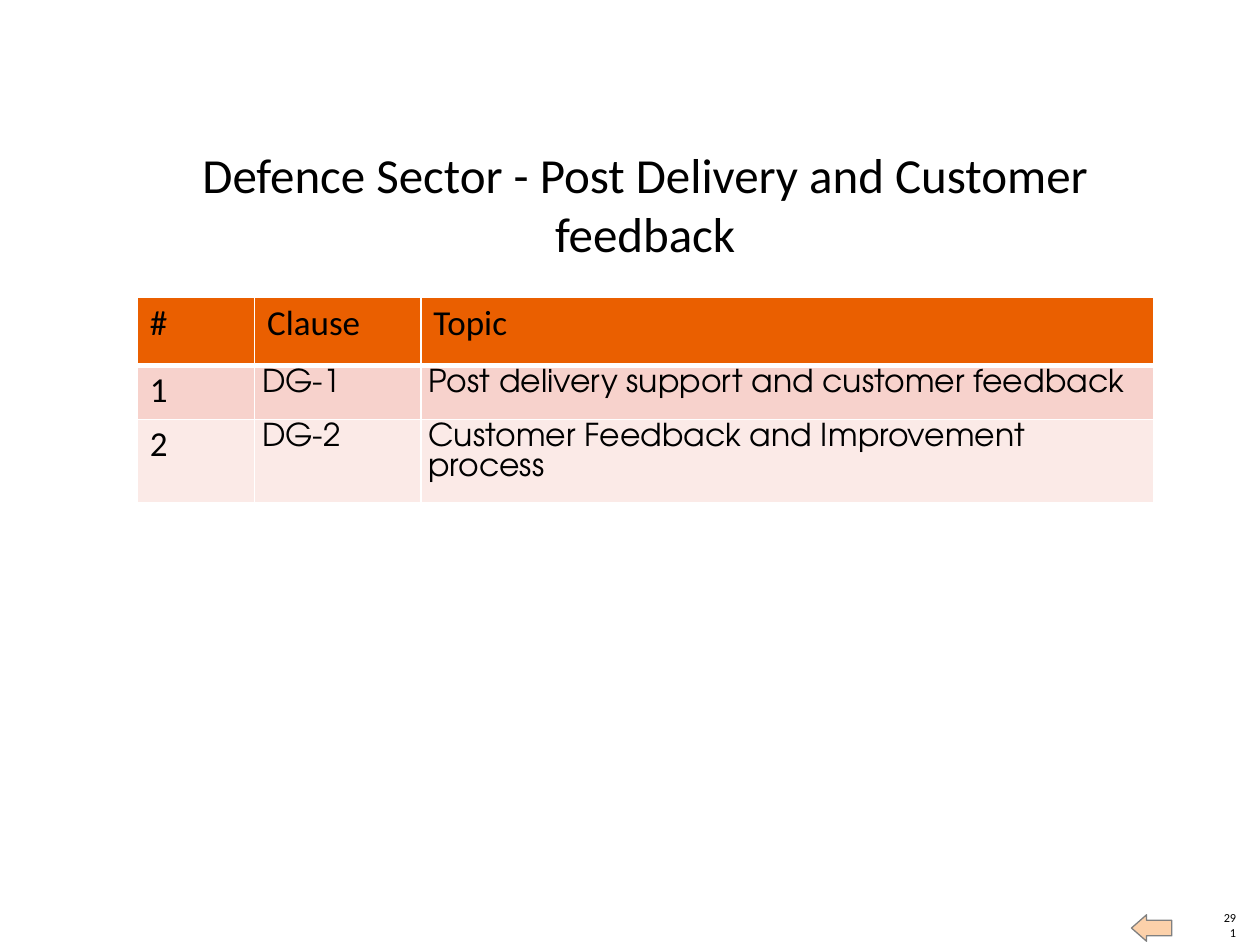
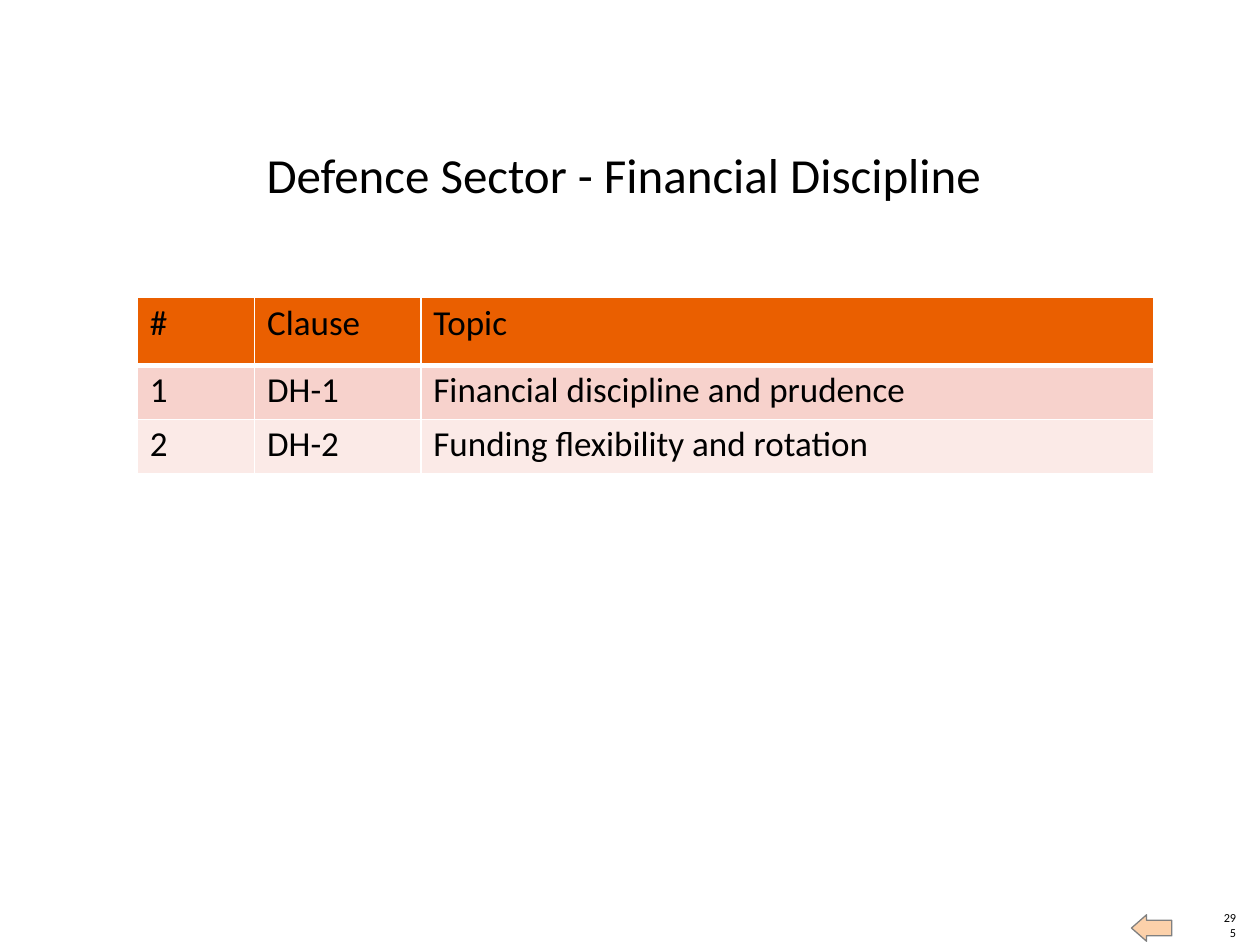
from dataclasses import dataclass

from lxml.etree import SubElement
from pptx import Presentation
from pptx.dml.color import RGBColor
from pptx.enum.shapes import MSO_SHAPE
from pptx.enum.text import MSO_ANCHOR, MSO_AUTO_SIZE, PP_ALIGN
from pptx.oxml.ns import qn
from pptx.util import Emu, Pt

EMU_PER_PX = 9144


@dataclass(frozen=True)
class Theme:
    text: str = "000000"
    header: str = "EA5F00"
    bands: tuple = ("F7D2CC", "FBEAE7")
    border: str = "FFFFFF"
    arrow: str = "FCD1AA"
    arrow_line: str = "808080"
    font: str = "Calibri"
    clause_font: str = "TeX Gyre Adventor"
    title_size: int = 28
    table_size: int = 20
    clause_size: int = 18
    number_size: int = 7
    thin: int = 1
    thick: int = 3


def px(length):
    return Emu(length * EMU_PER_PX)


def write(frame, text, *, font, size, color, align=PP_ALIGN.LEFT):
    para = frame.paragraphs[0]
    para.alignment = align
    span = para.add_run()
    span.text = text
    span.font.name = font
    span.font.size = Pt(size)
    span.font.bold = False
    span.font.color.rgb = RGBColor.from_string(color)


def set_margins(target, left=0, top=0, right=0, bottom=0):
    target.margin_left, target.margin_top = px(left), px(top)
    target.margin_right, target.margin_bottom = px(right), px(bottom)


class SlideBuilder:
    def __init__(self, deck, theme):
        self.deck = deck
        self.theme = theme
        self.page = None

    def start(self, number):
        self.page = self.deck.slides.add_slide(self.deck.slide_layouts[5])
        self.page_number(number)
        self.back_arrow()

    def page_number(self, number):
        box = self.page.shapes.add_textbox(px(969), px(734), px(12), px(12))
        frame = box.text_frame
        frame.word_wrap = True
        frame.vertical_anchor = MSO_ANCHOR.BOTTOM
        set_margins(frame)
        write(frame, number, font=self.theme.font, size=self.theme.number_size,
              color=self.theme.text, align=PP_ALIGN.RIGHT)

    def back_arrow(self):
        arrow = self.page.shapes.add_shape(
            MSO_SHAPE.RIGHT_ARROW, px(898), px(726), px(32), px(21))
        arrow.rotation = 180
        arrow.adjustments[0], arrow.adjustments[1] = 0.59, 0.57
        arrow.shadow.inherit = False
        arrow.fill.solid()
        arrow.fill.fore_color.rgb = RGBColor.from_string(self.theme.arrow)
        arrow.line.color.rgb = RGBColor.from_string(self.theme.arrow_line)
        arrow.line.width = Pt(0.75)

    def title(self, text, width, height):
        box = self.page.shapes.title
        box.left, box.top, box.width, box.height = px(109), px(115), px(width), px(height)
        frame = box.text_frame
        frame.word_wrap = True
        frame.auto_size = MSO_AUTO_SIZE.NONE
        frame.vertical_anchor = MSO_ANCHOR.TOP
        set_margins(frame)
        write(frame, text, font=self.theme.font, size=self.theme.title_size,
              color=self.theme.text, align=PP_ALIGN.CENTER)

    def borders(self, cell, top, bottom):
        properties = cell._tc.get_or_add_tcPr()
        widths = {"lnL": self.theme.thin, "lnR": self.theme.thin, "lnT": top, "lnB": bottom}
        for side, width in widths.items():
            line = SubElement(properties, qn(f"a:{side}"), w=str(Pt(width)))
            fill = SubElement(line, qn("a:solidFill"))
            SubElement(fill, qn("a:srgbClr"), val=self.theme.border)

    def cell(self, cell, text, fill, margins, *, top, bottom, font, size):
        self.borders(cell, top, bottom)
        cell.fill.solid()
        cell.fill.fore_color.rgb = RGBColor.from_string(fill)
        set_margins(cell, *margins)
        write(cell.text_frame, text, font=font, size=size, color=self.theme.text)

    def clause_table(self, clauses, clause_font, clause_size, clause_inset):
        theme = self.theme
        columns, heights = (93, 132, 582), (54, 43, 43)
        table = self.page.shapes.add_table(
            len(heights), len(columns), px(109), px(236),
            px(sum(columns)), px(sum(heights))).table
        table.first_row = table.horz_banding = False
        for column, width in zip(table.columns, columns):
            column.width = px(width)
        for row, height in zip(table.rows, heights):
            row.height = px(height)

        for index, text in enumerate(("#", "Clause", "Topic")):
            self.cell(table.cell(0, index), text, theme.header, (10, 4, 7, 4),
                      top=theme.thin, bottom=theme.thick,
                      font=theme.font, size=theme.table_size)
        for number, clause in enumerate(clauses, start=1):
            for index, text in enumerate((str(number), *clause)):
                inset = clause_inset if index else 10
                self.cell(table.cell(number, index), text, theme.bands[(number - 1) % 2],
                          (inset, 3, 6, 3),
                          top=theme.thick if number == 1 else theme.thin, bottom=theme.thin,
                          font=clause_font if index else theme.font,
                          size=clause_size if index else theme.table_size)


def main():
    deck = Presentation()
    deck.slide_width, deck.slide_height = px(1000), px(750)
    theme = Theme()
    builder = SlideBuilder(deck, theme)

    builder.start("291")
    builder.title("Defence Sector - Post Delivery and Customer feedback", 806, 94)
    builder.clause_table(
        (("DG-1", "Post delivery support and customer feedback"),
         ("DG-2", "Customer Feedback and Improvement process")),
        theme.clause_font, theme.clause_size, 6)

    builder.start("295")
    builder.title("Defence Sector - Financial Discipline", 772, 47)
    builder.clause_table(
        (("DH-1", "Financial discipline and prudence"),
         ("DH-2", "Funding flexibility and rotation")),
        theme.font, theme.table_size, 10)

    deck.save("out.pptx")


if __name__ == "__main__":
    main()
